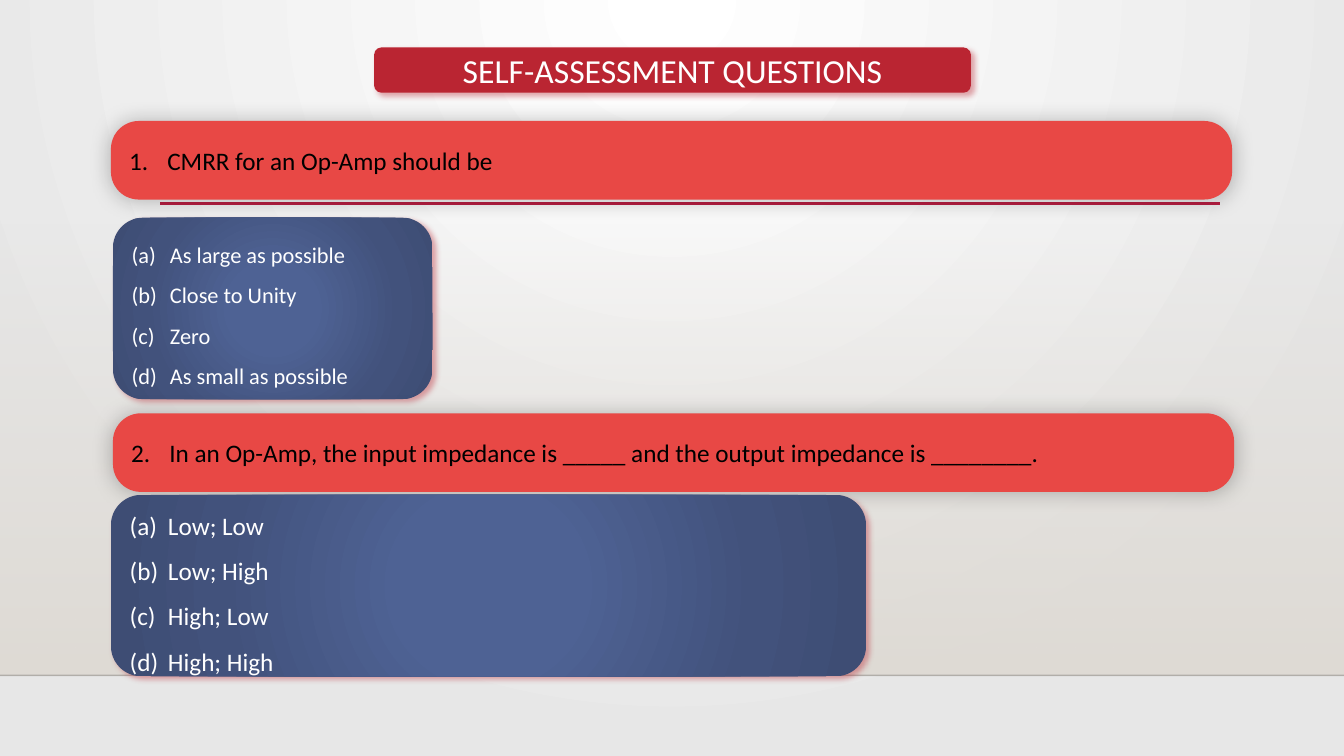
from lxml import etree
from pptx import Presentation
from pptx.dml.color import RGBColor
from pptx.enum.shapes import MSO_CONNECTOR, MSO_SHAPE
from pptx.enum.text import MSO_ANCHOR, PP_ALIGN
from pptx.oxml.ns import qn
from pptx.util import Inches, Pt

RECT, ROUND = MSO_SHAPE.RECTANGLE, MSO_SHAPE.ROUNDED_RECTANGLE
LEFT, CENTER = PP_ALIGN.LEFT, PP_ALIGN.CENTER

# Content
TITLE = "SELF-ASSESSMENT QUESTIONS"
QUESTIONS = [
    dict(text="CMRR for an Op-Amp should be", at=(1.1, 1.2),
         answers=["As large as possible", "Close to Unity", "Zero", "As small as possible"],
         answers_box=(1.12, 2.16, 3.17, 1.8), answer_size=16),
    dict(text="In an Op-Amp, the input impedance is _____ and the output impedance is ________.",
         at=(1.12, 4.1),
         answers=["Low; Low", "Low; High", "High; Low", "High; High"],
         answers_box=(1.1, 4.91, 7.49, 1.8), answer_size=18),
]

# Style: gradient stops are (position, colour, opacity)
W, H = 13.33, 7.5
FLOOR_Y = 6.7
QUESTION_SIZE = (11.12, 0.78)
INDENT = 0.38
BACKDROP = [(0, "FFFFFF", 100), (100, "E7E7E7", 100)]
WALL = [(0, "DFDBD5", 0), (100, "DFDBD5", 100)]
NAVY = [(0, "4E6294", 100), (23, "4E6294", 100), (69, "42527C", 100), (97, "3E4D74", 100)]
RED_SHADOW = ("BA2532", 40, 4, 3, 45)  # colour, opacity, blur, distance, angle
SOFT_SHADOW = ("000000", 25, 15, 0, 0)


def rgb(color):
    return RGBColor.from_string(color)


def add(parent, tag, **attrs):
    return etree.SubElement(parent, qn(tag), {k: str(v) for k, v in attrs.items()})


def add_color(parent, color, opacity):
    clr = add(parent, "a:srgbClr", val=color)
    if opacity < 100:
        add(clr, "a:alpha", val=opacity * 1000)


def set_gradient(fill, props, stops, center=None):
    """Linear downwards, or circular towards the rectangle center."""
    fill.solid()
    fill.fore_color.rgb = rgb("FFFFFF")
    solid = props.find(qn("a:solidFill"))
    grad = etree.Element(qn("a:gradFill"), rotWithShape="1")
    stop_list = add(grad, "a:gsLst")
    for pos, color, opacity in stops:
        add_color(add(stop_list, "a:gs", pos=pos * 1000), color, opacity)
    if center:
        path = add(grad, "a:path", path="circle")
        add(path, "a:fillToRect", **{side: v * 1000 for side, v in zip("ltrb", center)})
    else:
        add(grad, "a:lin", ang=90 * 60000, scaled=0)
    props.replace(solid, grad)


def add_box(slide, box, fill, shape=ROUND, center=None, shadow=None, adj=None):
    sp = slide.shapes.add_shape(shape, *map(Inches, box))
    sp.line.fill.background()
    sp.shadow.inherit = False
    props = sp._element.spPr
    if isinstance(fill, str):
        sp.fill.solid()
        sp.fill.fore_color.rgb = rgb(fill)
    else:
        set_gradient(sp.fill, props, fill, center)
    if shadow:
        color, opacity, blur, dist, angle = shadow
        outer = add(props.find(qn("a:effectLst")), "a:outerShdw", blurRad=Pt(blur),
                    dist=Pt(dist), dir=angle * 60000, algn="ctr", rotWithShape=0)
        add_color(outer, color, opacity)
    if adj:
        sp.adjustments[0] = adj
    return sp


def add_line(slide, x1, x2, y, color, width, opacity=100):
    line = slide.shapes.add_connector(MSO_CONNECTOR.STRAIGHT, *map(Inches, (x1, y, x2, y)))
    line.line.width = Pt(width)
    line.line.color.rgb = rgb(color)
    props = line._element.spPr
    if opacity < 100:
        add(props.find(".//" + qn("a:srgbClr")), "a:alpha", val=opacity * 1000)
    add(props, "a:effectLst")


def write(sp, lines, size, color, align=LEFT, spacing=None, numbering=None, start=1):
    tf = sp.text_frame
    tf.word_wrap = True
    tf.vertical_anchor = MSO_ANCHOR.MIDDLE
    for i, text in enumerate(lines):
        p = tf.paragraphs[0] if i == 0 else tf.add_paragraph()
        p.alignment = align
        if spacing:
            p.line_spacing = spacing
        if numbering:
            props = p._p.get_or_add_pPr()
            props.set("marL", str(Inches(INDENT)))
            props.set("indent", str(-Inches(INDENT)))
            number = add(props, "a:buAutoNum", type=numbering)
            if start > 1:
                number.set("startAt", str(start))
        r = p.add_run()
        r.text = text
        r.font.name = "Calibri"
        r.font.size = Pt(size)
        r.font.color.rgb = rgb(color)


prs = Presentation()
prs.slide_width, prs.slide_height = Inches(W), Inches(H)
slide = prs.slides.add_slide(prs.slide_layouts[6])

# Backdrop, wall and floor line
bg_fill = slide.background.fill
bg_fill.solid()
bg_props = slide._element.cSld.find(qn("p:bg")).find(qn("p:bgPr"))
set_gradient(bg_fill, bg_props, BACKDROP, center=(43, 0, 43, 100))
add_box(slide, (0, 2.21, W, 4.49), WALL, shape=RECT)
add_line(slide, 0, W, FLOOR_Y, "000001", 1, opacity=20)
add_line(slide, 1.59, 12.1, 2.02, "B71E42", 2.5)

# Title
sp = add_box(slide, (3.71, 0.47, 5.92, 0.45), "BA2532", shadow=RED_SHADOW)
write(sp, [TITLE], 24, "FFFFFF", align=CENTER)

# Questions with their answers
for number, q in enumerate(QUESTIONS, 1):
    sp = add_box(slide, q["at"] + QUESTION_SIZE, "E84845", shadow=SOFT_SHADOW, adj=0.356)
    write(sp, [q["text"]], 18, "000000", numbering="arabicPeriod", start=number)
    sp = add_box(slide, q["answers_box"], NAVY, center=(50, 50, 50, 50), shadow=RED_SHADOW)
    write(sp, q["answers"], q["answer_size"], "FFFFFF", spacing=1.5,
          numbering="alphaLcParenBoth")

prs.save("out.pptx")
